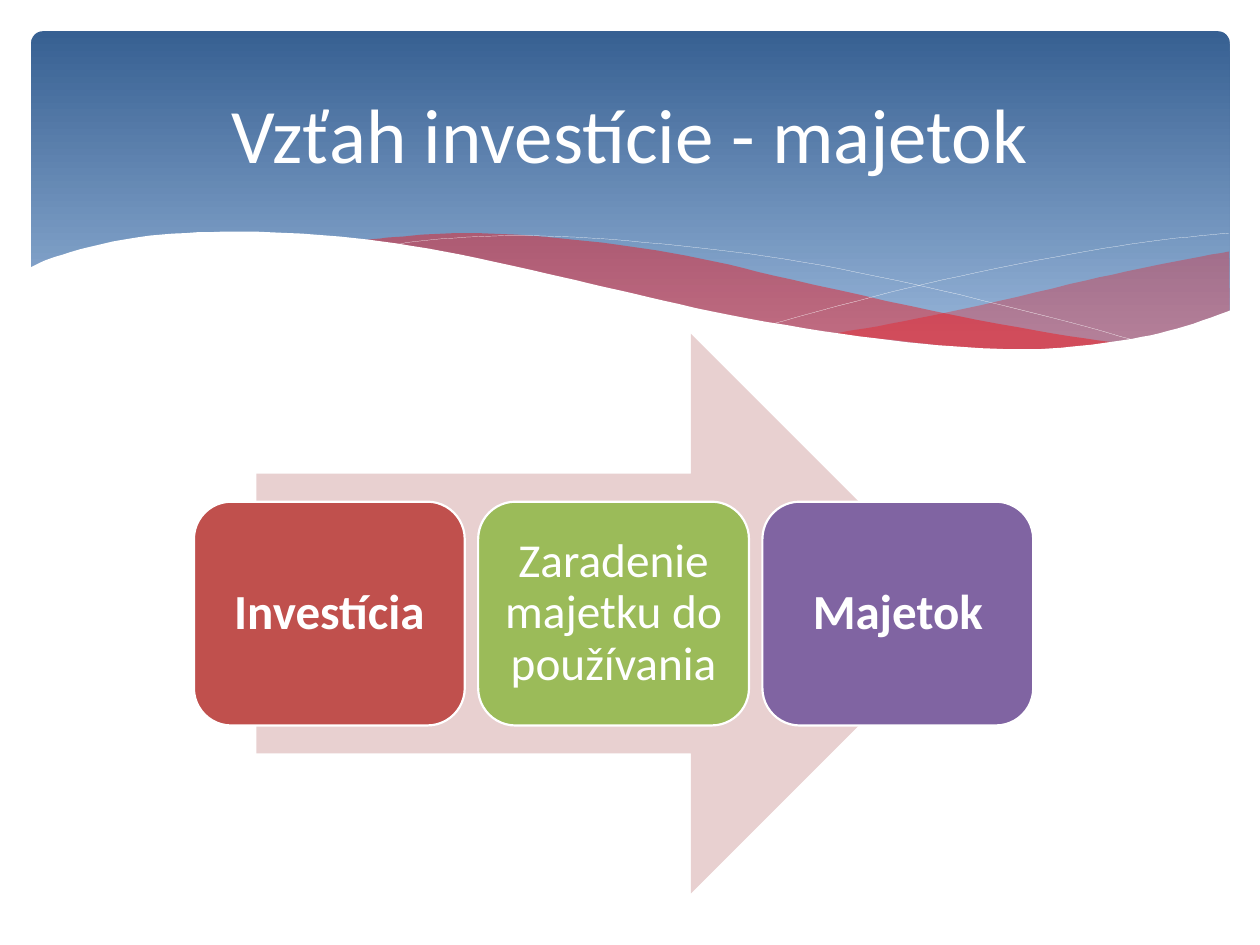
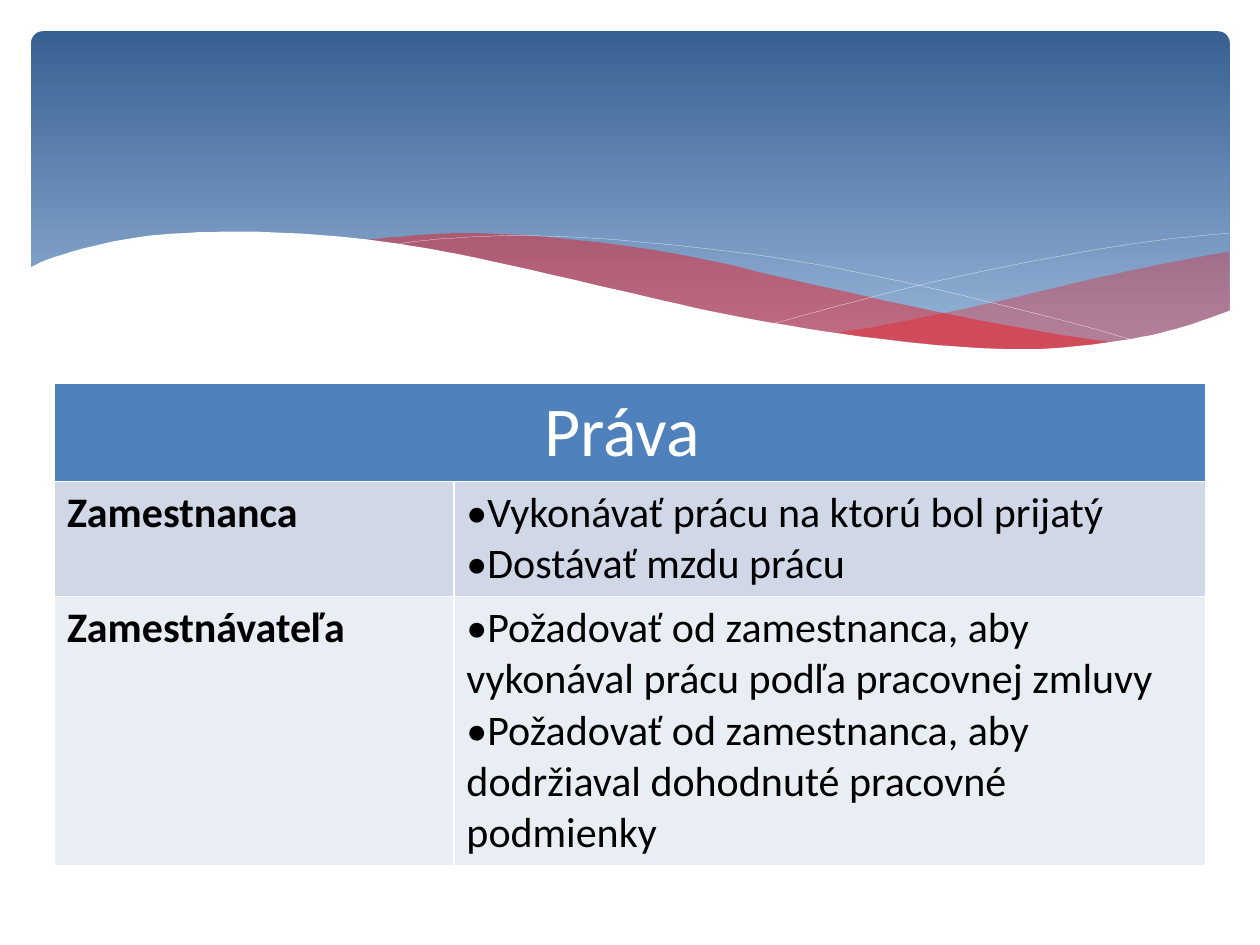
from collections import namedtuple

from pptx import Presentation
from pptx.dml.color import RGBColor
from pptx.enum.shapes import MSO_SHAPE
from pptx.enum.text import MSO_ANCHOR, PP_ALIGN
from pptx.oxml.ns import qn
from pptx.util import Cm, Pt
from lxml.etree import SubElement

Box = namedtuple("Box", "left top width height")  # centimetres

FONT = "Calibri"
COLORS = {
    "white": "FFFFFF", "black": "000000",
    "band_top": "376092", "band_bottom": "95B3D7", "wave": "FF0000",
    "arrow": "E8D0D0", "investment": "C0504D", "activation": "9BBB59", "asset": "8064A2",
    "header": "4F81BD", "row_dark": "D0D8E8", "row_light": "E9EDF4",
}
SLIDE = Box(0, 0, 25.4, 19.05)
TITLE = Box(1.27, 0.94, 22.86, 3.48)
PROCESS = Box(3.91, 6.73, 16.92, 11.28)
RIGHTS = Box(1.1, 7.73, 23.2, 9.65)

# Knots of the curves, in centimetres from the corner of the band's box
RIGHT_WAVE = [
    [(24.78, 5.07), (23.39, 5.33), (21.87, 5.66), (19.79, 6.15), (17.93, 6.53), (16.79, 6.73)],
    [(16.79, 6.73), (18.26, 6.88), (19.53, 7.02), (20.93, 7.04), (22.15, 6.96), (23.19, 6.78),
     (24.1, 6.53), (24.79, 6.27)],
]
LEFT_WAVE = [
    [(22.68, 6.93), (21.26, 6.73), (18.82, 6.27), (15.98, 5.64), (14.1, 5.21), (12.42, 4.93),
     (10.67, 4.75), (9.17, 4.7), (7.95, 4.78), (7.26, 4.85)],
    [(7.26, 4.85), (9.19, 5.16), (11.4, 5.64), (13.46, 6.1), (15.27, 6.48), (17.27, 6.81),
     (19, 7.01), (20.5, 7.06), (21.77, 7.04), (22.68, 6.93)],
]
FALLING_LINE = [(7.85, 4.95), (8.74, 4.83), (10.19, 4.75), (11.91, 4.8), (14.12, 5),
                (16.15, 5.28), (18.47, 5.74), (21.11, 6.38), (23.04, 6.91)]
RISING_LINE = [(15.57, 6.53), (17.65, 5.97), (19.71, 5.49), (22, 5.05), (23.47, 4.83),
               (24.78, 4.7)]
WHITE_EDGE = [(24.82, 6.25), (23.88, 6.58), (22.83, 6.83), (21.59, 6.99), (20.55, 7.04),
              (18.9, 6.96), (16.97, 6.73), (14.71, 6.35), (12.78, 5.92), (11.35, 5.59),
              (9.27, 5.13), (7.42, 4.83), (5.84, 4.7), (4.5, 4.67), (3.02, 4.75),
              (1.93, 4.95), (1.02, 5.21), (0.58, 5.41)]
WHITE_BASE = [(0.58, 8.36), (24.82, 8.36)]

STEPS = [
    ("Investícia", "investment", 28, True),
    ("Zaradenie majetku do používania", "activation", 27, False),
    ("Majetok", "asset", 28, True),
]
RIGHTS_ROWS = [
    ("Zamestnanca", "row_dark",
     ["Vykonávať prácu na ktorú bol prijatý", "Dostávať mzdu prácu"]),
    ("Zamestnávateľa", "row_light",
     ["Požadovať od zamestnanca, aby vykonával prácu podľa pracovnej zmluvy",
      "Požadovať od zamestnanca, aby dodržiaval dohodnuté pracovné podmienky"]),
]


def rgb(name):
    return RGBColor.from_string(COLORS[name])


def lengths(box):
    return [Cm(value) for value in box]


def add_run(paragraph, text, size, color="black", bold=False):
    run = paragraph.add_run()
    run.text = text
    run.font.name, run.font.size, run.font.bold = FONT, Pt(size), bold
    run.font.color.rgb = rgb(color)


def paint(shape, fill=None, line=None, line_width=0.1, opacity=None):
    shape.shadow.inherit = False
    if fill:
        shape.fill.solid()
        shape.fill.fore_color.rgb = rgb(fill)
    else:
        shape.fill.background()
    if opacity:
        color = shape.element.spPr.find(f"{qn('a:solidFill')}/{qn('a:srgbClr')}")
        SubElement(color, qn("a:alpha")).set("val", str(opacity * 1000))
    if line:
        shape.line.color.rgb = rgb(line)
        shape.line.width = Pt(line_width)
    else:
        shape.line.fill.background()


def smooth_curve(knots, steps=6):
    """Return points of a Catmull-Rom curve through the knots."""
    padded = [knots[0], *knots, knots[-1]]
    points = [knots[0]]
    for a, b, c, d in zip(padded, padded[1:], padded[2:], padded[3:]):
        for step in range(1, steps + 1):
            t = step / steps
            points.append(tuple(
                (2 * q + (r - p) * t + (2 * p - 5 * q + 4 * r - s) * t ** 2
                 + (3 * q - p - 3 * r + s) * t ** 3) / 2
                for p, q, r, s in zip(a, b, c, d)))
    return points


def add_outline(slide, box, points, close=True):
    hundredths = [(round((box.left + x) * 100), round((box.top + y) * 100)) for x, y in points]
    builder = slide.shapes.build_freeform(*hundredths[0], scale=Cm(0.01))
    builder.add_line_segments(hundredths[1:], close=close)
    return builder.convert_to_shape()


def add_band(slide, box):
    """Draw the blue band with its waves and return the shapes, back to front."""
    panel = slide.shapes.add_shape(
        MSO_SHAPE.ROUNDED_RECTANGLE,
        *lengths((box.left + 0.63, box.top + 0.63, box.width - 1.24, 6.86)))
    panel.adjustments[0] = 0.034
    paint(panel)
    panel.fill.gradient()
    panel.fill.gradient_angle = 270
    for stop, color, position in zip(panel.fill.gradient_stops,
                                     ("band_top", "band_bottom"), (0, 0.9)):
        stop.color.rgb, stop.position = rgb(color), position
    parts = [panel]

    for (upper, lower), opacity in ((RIGHT_WAVE, 29), (LEFT_WAVE, 40)):
        wave = add_outline(slide, box, smooth_curve(upper) + smooth_curve(lower)[1:])
        paint(wave, "wave", opacity=opacity)
        parts.append(wave)
    for knots in (FALLING_LINE, RISING_LINE):
        thread = add_outline(slide, box, smooth_curve(knots), close=False)
        paint(thread, line="white")
        parts.append(thread)
    cover = add_outline(slide, box, smooth_curve(WHITE_EDGE) + WHITE_BASE)
    paint(cover, "white")
    return parts + [cover]


def move_to_master(parts, master):
    """Put the shapes behind the placeholders of the master, so every slide shows them."""
    for i, part in enumerate(parts):
        part.element.nvSpPr.cNvPr.set("id", str(100 + i))
        master.shapes.element.insert(2 + i, part.element)


def fill_title(slide, box, text):
    title = slide.shapes.title
    title.left, title.top, title.width, title.height = lengths(box)
    frame = title.text_frame
    frame.vertical_anchor = MSO_ANCHOR.MIDDLE
    heading = frame.paragraphs[0]
    heading.alignment = PP_ALIGN.CENTER
    add_run(heading, text, 44, "white")


def add_process(slide, box):
    arrow = slide.shapes.add_shape(
        MSO_SHAPE.RIGHT_ARROW, *lengths((box.left + 1.26, box.top, 14.4, box.height)))
    paint(arrow, "arrow")

    gap = 0.27
    width = (box.width - gap * (len(STEPS) - 1)) / len(STEPS)
    height = box.height * 0.4
    top = box.top + (box.height - height) / 2
    for i, (text, color, size, bold) in enumerate(STEPS):
        step = slide.shapes.add_shape(
            MSO_SHAPE.ROUNDED_RECTANGLE,
            *lengths((box.left + i * (width + gap), top, width, height)))
        paint(step, color, "white", 1.25)
        frame = step.text_frame
        frame.word_wrap = True
        frame.vertical_anchor = MSO_ANCHOR.MIDDLE
        frame.margin_left = frame.margin_right = Cm(0.27)
        frame.margin_top = frame.margin_bottom = Cm(0.27)
        label = frame.paragraphs[0]
        label.alignment = PP_ALIGN.CENTER
        label.line_spacing = 0.9
        add_run(label, text, size, "white", bold)


def fill_cell(cell, color):
    cell.fill.solid()
    cell.fill.fore_color.rgb = rgb(color)


def add_bullets(cell, items):
    frame = cell.text_frame
    for i, item in enumerate(items):
        paragraph = frame.add_paragraph() if i else frame.paragraphs[0]
        properties = paragraph._p.get_or_add_pPr()
        properties.set("marL", "0")
        properties.set("indent", "0")
        SubElement(properties, qn("a:buFont"), typeface=FONT)
        SubElement(properties, qn("a:buChar"), char="•")
        add_run(paragraph, item, 24)


def add_rights_table(slide, box):
    table = slide.shapes.add_table(len(RIGHTS_ROWS) + 1, 2, *lengths(box)).table
    for column, width in zip(table.columns, (8.05, box.width - 8.05)):
        column.width = Cm(width)
    for row, height in zip(table.rows, (1.95, 2.32, box.height - 4.27)):
        row.height = Cm(height)

    for cell in table.rows[0].cells:
        fill_cell(cell, "header")
    header = table.cell(0, 0)
    header.merge(table.cell(0, 1))
    heading = header.text_frame.paragraphs[0]
    heading.alignment = PP_ALIGN.CENTER
    add_run(heading, "Práva ", 40, "white")

    for i, (party, color, rights) in enumerate(RIGHTS_ROWS, start=1):
        party_cell, rights_cell = table.cell(i, 0), table.cell(i, 1)
        for cell in (party_cell, rights_cell):
            fill_cell(cell, color)
        add_run(party_cell.text_frame.paragraphs[0], party, 24, bold=True)
        add_bullets(rights_cell, rights)


def main():
    presentation = Presentation()
    presentation.slide_width, presentation.slide_height = Cm(SLIDE.width), Cm(SLIDE.height)
    title_only, blank = presentation.slide_layouts[5], presentation.slide_layouts[6]

    process_slide = presentation.slides.add_slide(title_only)
    move_to_master(add_band(process_slide, SLIDE), presentation.slide_master)
    fill_title(process_slide, TITLE, "Vzťah investície - majetok")
    add_process(process_slide, PROCESS)

    rights_slide = presentation.slides.add_slide(blank)
    add_rights_table(rights_slide, RIGHTS)

    presentation.save("out.pptx")


if __name__ == "__main__":
    main()
